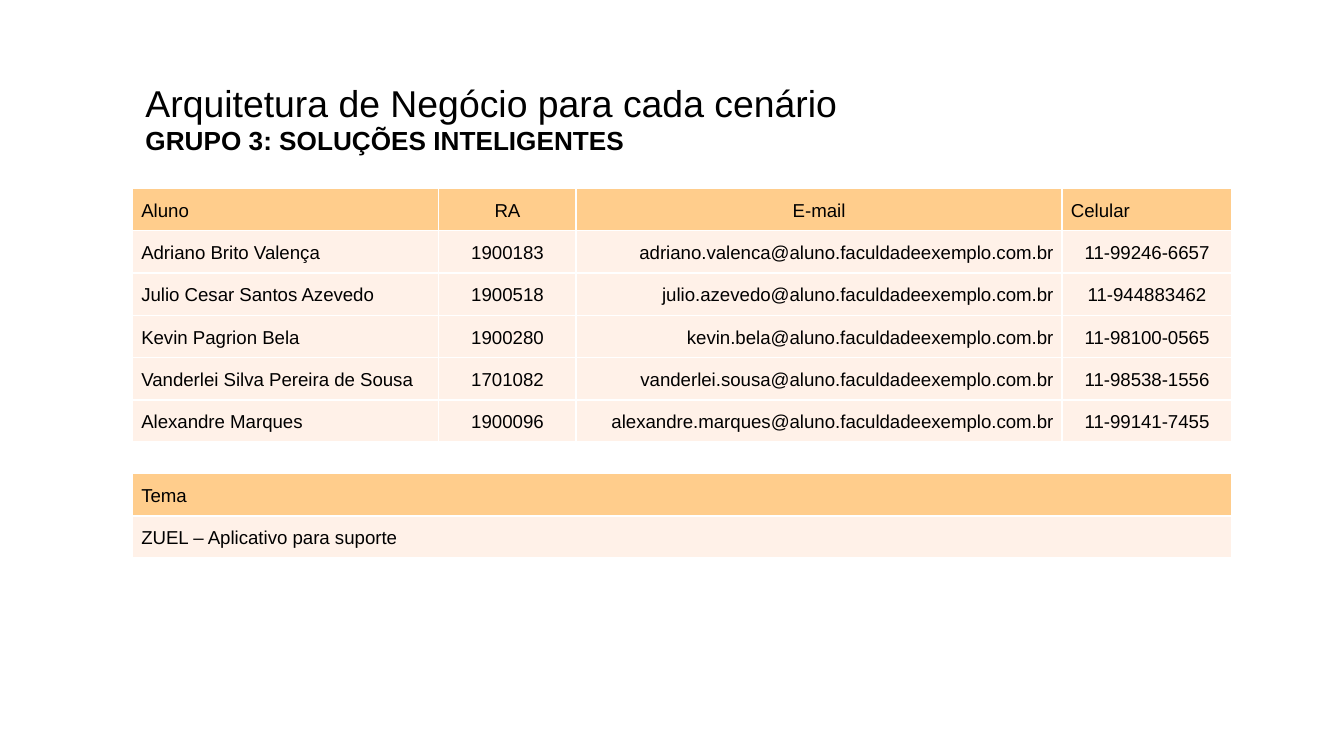
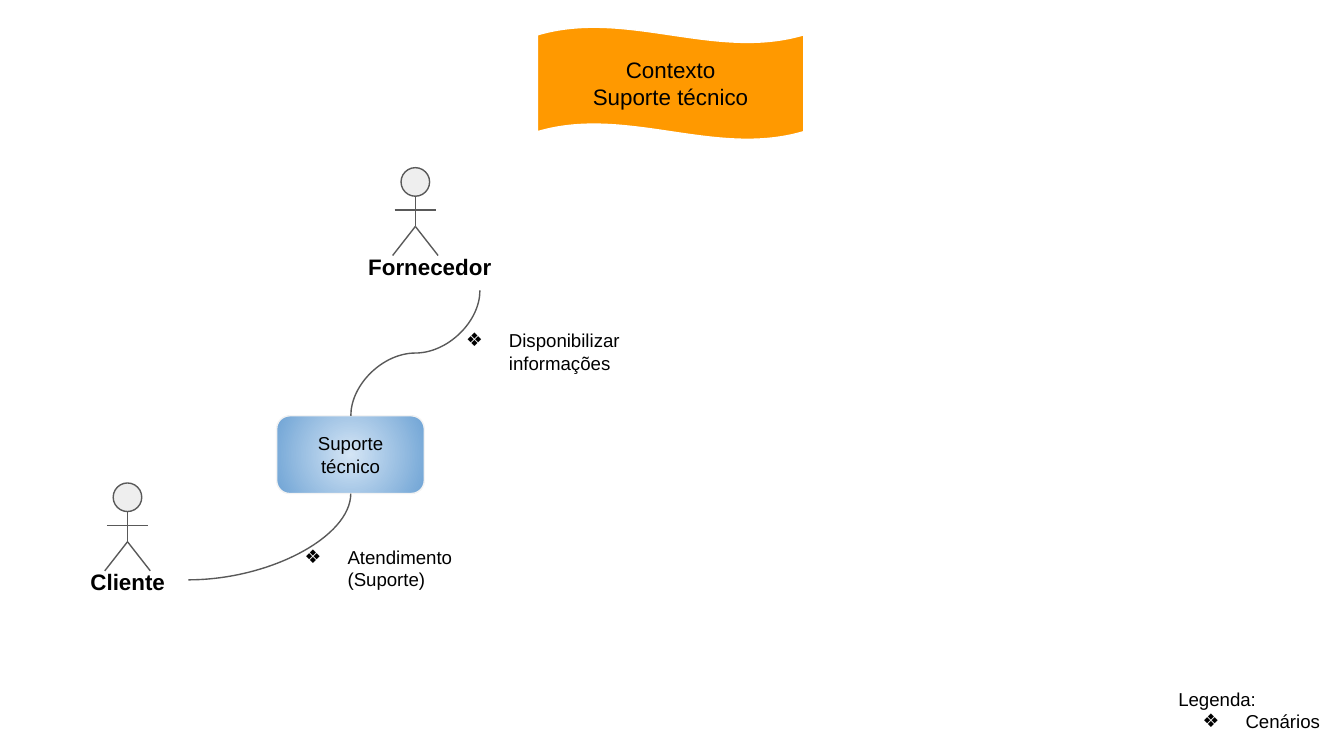
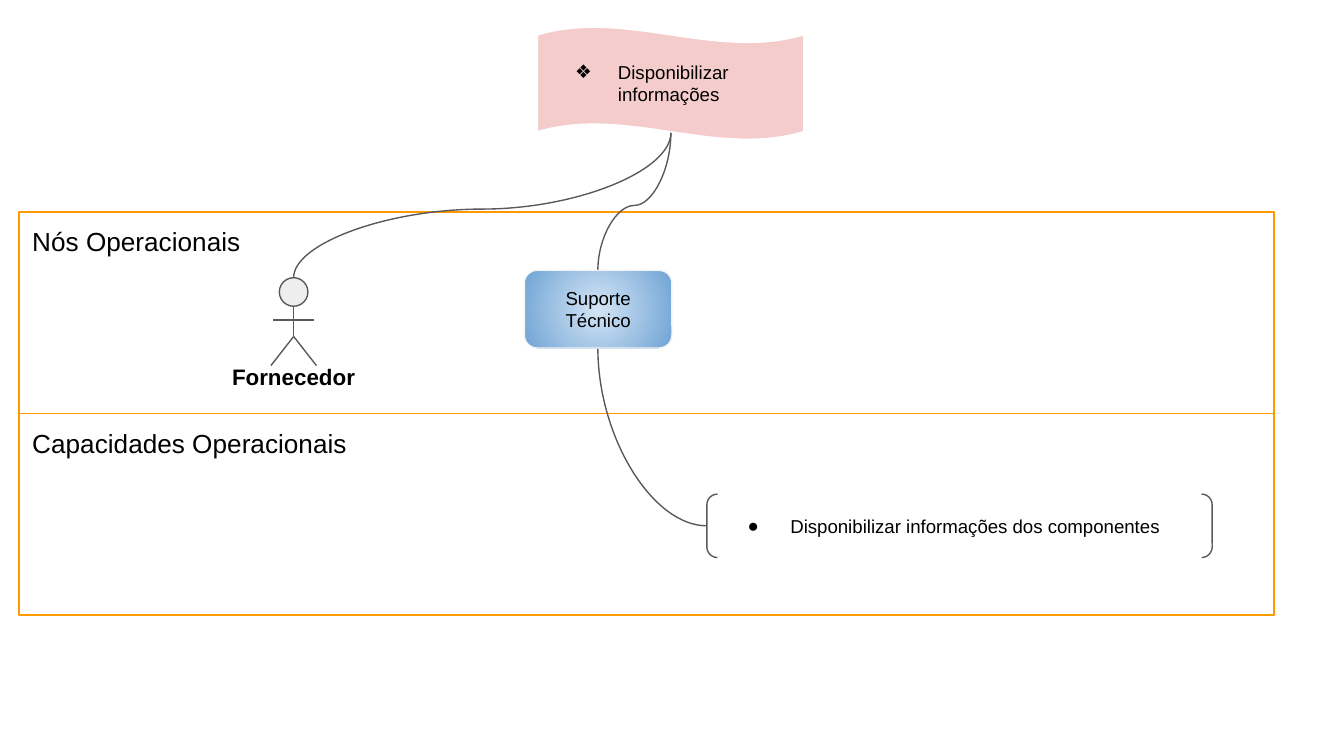
from dataclasses import dataclass

from lxml import etree
from pptx import Presentation
from pptx.dml.color import RGBColor
from pptx.enum.shapes import MSO_CONNECTOR, MSO_SHAPE
from pptx.enum.text import MSO_ANCHOR, PP_ALIGN
from pptx.oxml.ns import qn
from pptx.util import Cm, Pt

LEFT, CENTER, RIGHT = PP_ALIGN.LEFT, PP_ALIGN.CENTER, PP_ALIGN.RIGHT
TOP, MIDDLE = MSO_ANCHOR.TOP, MSO_ANCHOR.MIDDLE
STRAIGHT, CURVE = MSO_CONNECTOR.STRAIGHT, MSO_CONNECTOR.CURVE
WAVE, ROUND = MSO_SHAPE.WAVE, MSO_SHAPE.ROUNDED_RECTANGLE
RECT, BRACKET = MSO_SHAPE.RECTANGLE, MSO_SHAPE.DOUBLE_BRACKET
CIRCLE = MSO_SHAPE.FLOWCHART_CONNECTOR

BLACK = RGBColor(0x00, 0x00, 0x00)
WHITE = RGBColor(0xFF, 0xFF, 0xFF)
GRAY = RGBColor(0x59, 0x59, 0x59)
SILVER = RGBColor(0xEE, 0xEE, 0xEE)
PALE = RGBColor(0xF3, 0xF3, 0xF3)
ORANGE = RGBColor(0xFF, 0x99, 0x00)
PINK = RGBColor(0xF4, 0xCC, 0xCC)
PEACH = RGBColor(0xFF, 0xCD, 0x8C)
CREAM = RGBColor(0xFF, 0xF1, 0xE8)
SKY = RGBColor(0xD4, 0xE5, 0xF5)
BLUE = RGBColor(0x70, 0xA4, 0xD5)

FONT = "Arial"
THIN = Pt(0.75)
INSET = 0.25
ROW = 0.8
DIAMOND, DOT = "❖", "●"
MAIL = "@aluno.faculdadeexemplo.com.br"


@dataclass
class Box:
    x: float
    y: float
    w: float
    h: float

    def emu(self) -> tuple:
        return Cm(self.x), Cm(self.y), Cm(self.w), Cm(self.h)


@dataclass
class Para:
    text: str
    size: float = 10
    align: PP_ALIGN = LEFT
    bold: bool = False
    mark: str = ""


@dataclass
class Actor:
    name: str
    mid: float
    top: float
    left: float
    width: float
    align: PP_ALIGN = CENTER


@dataclass
class Curve:
    start: tuple
    end: tuple
    turn: int
    kind: str
    flip: bool = False
    bend: int = 50000


# Text
def add_mark(para, mark: str) -> None:
    props = para._p.get_or_add_pPr()
    props.set("marL", str(Cm(1.27)))
    props.set("indent", str(-Cm(0.81)))
    color = etree.SubElement(props, qn("a:buClr"))
    etree.SubElement(color, qn("a:srgbClr"), val=str(BLACK))
    etree.SubElement(props, qn("a:buFont"), typeface=FONT)
    etree.SubElement(props, qn("a:buChar"), char=mark)


def write(frame, paras: list, anchor=TOP, foot: float = INSET) -> None:
    frame.word_wrap = True
    frame.vertical_anchor = anchor
    frame.margin_left = frame.margin_right = frame.margin_top = Cm(INSET)
    frame.margin_bottom = Cm(foot)
    for i, item in enumerate(paras):
        para = frame.add_paragraph() if i else frame.paragraphs[0]
        para.alignment = item.align
        if item.mark:
            add_mark(para, item.mark)
        run = para.add_run()
        run.text = item.text
        run.font.name = FONT
        run.font.size = Pt(item.size)
        run.font.bold = item.bold
        run.font.color.rgb = BLACK


def add_text(shapes, box: Box, paras: list, **style) -> None:
    write(shapes.add_textbox(*box.emu()).text_frame, paras, **style)


# Shapes
def add_shape(shapes, kind, box: Box, line, fill=None, paras=(), anchor=MIDDLE):
    shape = shapes.add_shape(kind, *box.emu())
    shape.shadow.inherit = False
    shape.line.color.rgb = line
    shape.line.width = THIN
    if fill is None:
        shape.fill.background()
    else:
        shape.fill.solid()
        shape.fill.fore_color.rgb = fill
    write(shape.text_frame, paras, anchor)
    return shape


def add_flag(shapes, fill: RGBColor, paras: list) -> None:
    flag = add_shape(shapes, WAVE, Box(10.16, 0.51, 5.03, 2.13), WHITE, fill, paras)
    flag.adjustments[0] = 0.07


def add_node(shapes, x: float, y: float, lines: list) -> None:
    paras = [Para(line, align=CENTER) for line in lines]
    node = add_shape(shapes, ROUND, Box(x, y, 2.79, 1.47), PALE, SKY, paras)
    node.fill.gradient()
    for stop, place, color in zip(node.fill.gradient_stops, (0, 1), (SKY, BLUE)):
        stop.position = place
        stop.color.rgb = color
    # Radial shading from the centre
    grad = node.element.spPr.find(qn("a:gradFill"))
    grad.remove(grad.find(qn("a:lin")))
    shade = etree.SubElement(grad, qn("a:path"), path="circle")
    sides = {side: "50000" for side in "ltrb"}
    etree.SubElement(shade, qn("a:fillToRect"), **sides)


def add_line(shapes, kind, start: tuple, end: tuple):
    line = shapes.add_connector(kind, *(Cm(v) for v in start + end))
    line.line.color.rgb = GRAY
    line.line.width = THIN
    etree.SubElement(line.element.spPr, qn("a:effectLst"))
    return line


def add_curve(shapes, curve: Curve) -> None:
    (x1, y1), (x2, y2) = curve.start, curve.end
    w, h = abs(x2 - x1), abs(y2 - y1)
    if curve.turn % 180:
        w, h = h, w
    x, y = (x1 + x2 - w) / 2, (y1 + y2 - h) / 2
    left, right = (x + w, x) if curve.flip else (x, x + w)
    line = add_line(shapes, CURVE, (left, y), (right, y + h))
    line.rotation = curve.turn
    geom = line.element.spPr.find(qn("a:prstGeom"))
    geom.set("prst", curve.kind)
    if curve.kind == "curvedConnector3":
        guides = geom.find(qn("a:avLst"))
        etree.SubElement(guides, qn("a:gd"), name="adj1", fmla=f"val {curve.bend}")


def add_actor(shapes, actor: Actor) -> None:
    group = shapes.add_group_shape().shapes
    mid, top = actor.mid, actor.top
    hip, foot = top + 1.11, top + 1.66
    add_shape(group, CIRCLE, Box(mid - 0.27, top, 0.54, 0.54), GRAY, SILVER)
    add_line(group, STRAIGHT, (mid, top + 0.55), (mid, hip))
    add_line(group, STRAIGHT, (mid - 0.39, top + 0.8), (mid + 0.39, top + 0.8))
    for side in (-0.43, 0.43):
        add_line(group, STRAIGHT, (mid, hip), (mid + side, foot))
    label = Para(actor.name, 12, actor.align, True)
    add_text(group, Box(actor.left, top + 1.36, actor.width, 0.97), [label])


# Tables
def fill_cell(cell, text: str, align, fill: RGBColor) -> None:
    props = cell._tc.get_or_add_tcPr()
    for side in ("lnL", "lnR", "lnT", "lnB"):
        edge = etree.SubElement(props, qn(f"a:{side}"), w=str(Pt(1)))
        paint = etree.SubElement(edge, qn("a:solidFill"))
        etree.SubElement(paint, qn("a:srgbClr"), val=str(WHITE))
    cell.fill.solid()
    cell.fill.fore_color.rgb = fill
    write(cell.text_frame, [Para(text, align=align)])
    cell.text_frame.paragraphs[0].line_spacing = 1.15
    cell.margin_left = cell.margin_right = Cm(0.17)
    cell.margin_top = cell.margin_bottom = Cm(0.17)


def add_grid(shapes, y: float, widths: list, rows: list, head: list, body: list):
    box = Box(2.5, y, sum(widths), ROW * len(rows))
    table = shapes.add_table(len(rows), len(widths), *box.emu()).table
    table.first_row = table.horz_banding = False
    for col, width in zip(table.columns, widths):
        col.width = Cm(width)
    for r, row in enumerate(rows):
        table.rows[r].height = Cm(ROW)
        aligns, fill = (body, CREAM) if r else (head, PEACH)
        for c, text in enumerate(row):
            fill_cell(table.cell(r, c), text, aligns[c], fill)


# Slides
def team_slide(shapes) -> None:
    people = [
        ("Adriano Brito Valença", "1900183", "adriano.valenca", "11-99246-6657"),
        ("Julio Cesar Santos Azevedo", "1900518", "julio.azevedo", "11-944883462"),
        ("Kevin Pagrion Bela", "1900280", "kevin.bela", "11-98100-0565"),
        ("Vanderlei Silva Pereira de Sousa", "1701082", "vanderlei.sousa",
         "11-98538-1556"),
        ("Alexandre Marques", "1900096", "alexandre.marques", "11-99141-7455"),
    ]
    rows = [("Aluno", "RA", "E-mail", "Celular")]
    rows += [(name, code, user + MAIL, phone) for name, code, user, phone in people]
    add_grid(shapes, 3.56, [5.79, 2.6, 9.18, 3.21], rows,
             [LEFT, CENTER, CENTER, LEFT], [LEFT, CENTER, RIGHT, CENTER])
    theme = [("Tema",), ("ZUEL – Aplicativo para suporte",)]
    add_grid(shapes, 8.95, [20.78], theme, [LEFT], [LEFT])
    title = [
        Para("Arquitetura de Negócio para cada cenário", 20),
        Para("GRUPO 3: SOLUÇÕES INTELIGENTES", 14, bold=True),
    ]
    add_text(shapes, Box(2.5, 1.35, 20.8, 2.49), title, anchor=MIDDLE, foot=0.98)


def context_slide(shapes) -> None:
    add_flag(shapes, ORANGE, [Para(line, 12, CENTER)
                              for line in ("Contexto", "Suporte técnico")])
    add_node(shapes, 5.23, 7.86, ["Suporte técnico"])
    add_actor(shapes, Actor("Cliente", 2.41, 9.13, 1.27, 2.29))
    add_curve(shapes, Curve((3.56, 10.96), (6.63, 9.33), 180,
                            "curvedConnector2", True))
    add_text(shapes, Box(5.05, 10.06, 5.05, 3.3),
             [Para("Atendimento (Suporte)", mark=DIAMOND)])
    add_text(shapes, Box(22.02, 12.75, 3.23, 1.32),
             [Para("Legenda:"), Para("Cenários", mark=DIAMOND)])
    add_actor(shapes, Actor("Fornecedor", 7.85, 3.17, 6.71, 4.75, LEFT))
    add_curve(shapes, Curve((9.07, 5.49), (6.63, 7.86), 90, "curvedConnector3"))
    add_text(shapes, Box(8.1, 5.97, 5.05, 1.4),
             [Para("Disponibilizar informações", mark=DIAMOND)])


def supply_slide(shapes) -> None:
    def add_panel(y: float, title: str) -> None:
        add_shape(shapes, RECT, Box(0.36, y, 23.72, 3.81), ORANGE,
                  paras=[Para(title, 14)], anchor=TOP)

    tip = (12.68, 2.51)
    add_panel(4.01, "Nós Operacionais")
    add_flag(shapes, PINK, [Para("Disponibilizar informações", mark=DIAMOND)])
    add_actor(shapes, Actor("Fornecedor", 5.55, 5.25, 4.1, 2.9))
    add_curve(shapes, Curve((11.3, 5.11), tip, 270, "curvedConnector3", bend=47200))
    add_panel(7.82, "Capacidades Operacionais")
    add_curve(shapes, Curve((5.55, 5.25), tip, 270, "curvedConnector3", bend=47400))
    add_curve(shapes, Curve((11.3, 6.58), (13.36, 9.94), 270,
                            "curvedConnector2", True))
    add_shape(shapes, BRACKET, Box(13.36, 9.34, 9.55, 1.2), GRAY,
              paras=[Para("Disponibilizar informações dos componentes", mark=DOT)])
    add_node(shapes, 9.91, 5.11, ["Suporte", "Técnico"])


def main() -> None:
    deck = Presentation()
    deck.slide_width, deck.slide_height = Cm(25.4), Cm(14.29)
    for draw in (team_slide, context_slide, supply_slide):
        draw(deck.slides.add_slide(deck.slide_layouts[6]).shapes)
    deck.save("out.pptx")


if __name__ == "__main__":
    main()
